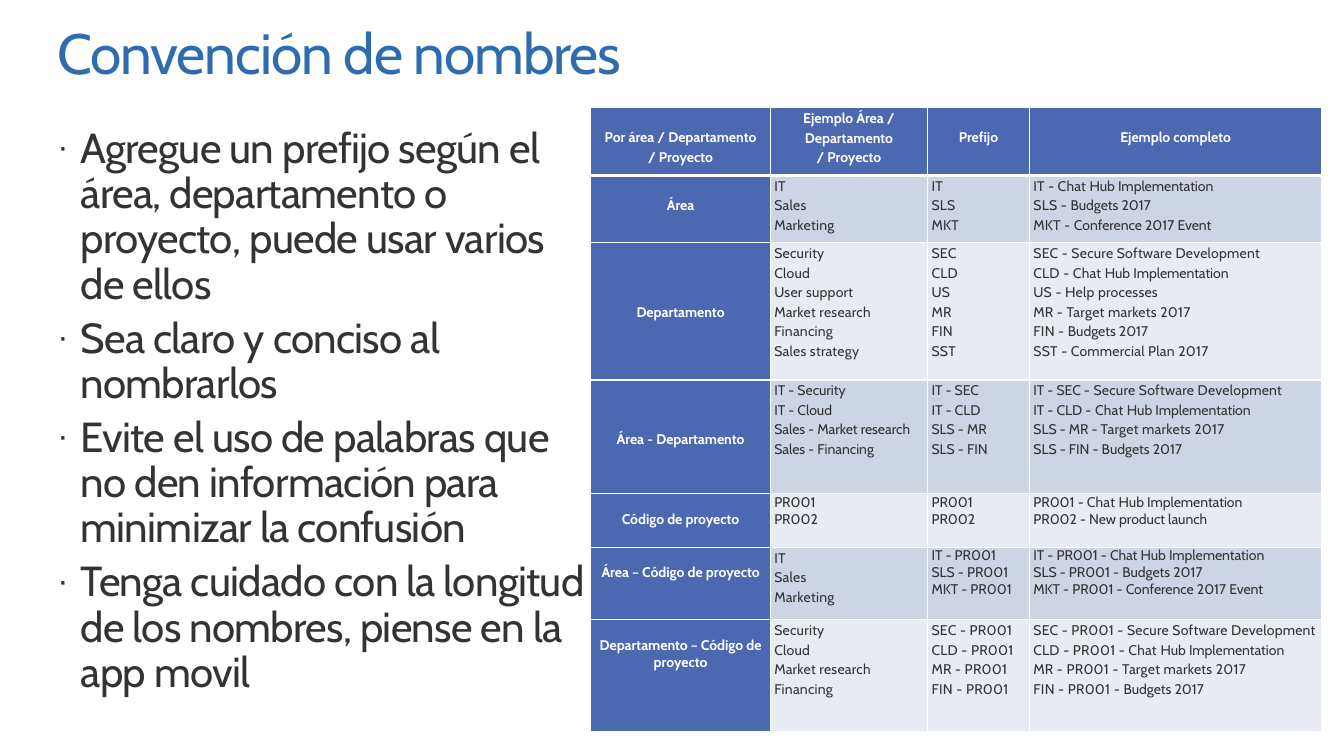
"""Build the naming convention slide with its guidelines and example table."""
import pptx
import pptx.dml.color
import pptx.enum.text
import pptx.oxml
import pptx.oxml.ns
import pptx.util

Inches = pptx.util.Inches
Align = pptx.enum.text.PP_ALIGN

COLORS = {
    "title": "2E6CAF",
    "text": "333333",
    "header": "4C68B1",
    "dark_band": "CDD4E3",
    "light_band": "E8EBF2",
    "white": "FFFFFF",
}
GUIDELINES = [
    "Agregue un prefijo según el área, departamento o proyecto, puede usar varios de ellos",
    "Sea claro y conciso al nombrarlos",
    "Evite el uso de palabras que no den información para minimizar la confusión",
    "Tenga cuidado con la longitud de los nombres, piense en la app movil",
]
COLUMN_WIDTHS = [1.78, 1.56, 1.01, 2.9]
ROW_HEIGHTS = [0.67, 0.67, 1.36, 1.13, 0.53, 0.72, 1.11]
LOOSE, TIGHT = 1.15, 1.0
TRACKING = 0.2
EVEN = (0, 0, 0, 0)
TRACKED = (0, TRACKING, TRACKING, TRACKING)
# Each row: top insets, line spacings, starting tracking, cell texts ("|" toggles tracking).
ROWS = [
    ((0.19, 0, 0.19, 0.19), (LOOSE,) * 4, EVEN, [
        "Por área / Departamento\n/ Proyecto",
        "Ejemplo Área / Departamento\n/ Proyecto",
        "Prefijo",
        "Ejemplo completo",
    ]),
    ((0.19, 0, 0, 0), (LOOSE,) * 4, TRACKED, [
        "Área",
        "IT\nSales\nMarketing",
        "IT\nSLS\nMKT",
        "IT |-| Chat |Hub Implementation\nSLS - |Budgets 2017\nMKT - |Conference 2017 Event",
    ]),
    ((0.58, 0, 0, 0), (LOOSE,) * 4, TRACKED, [
        "Departamento",
        "Security\nCloud\nUser support\nMarket research\nFinancing\nSales strategy",
        "SEC\nCLD\nUS\nMR\nFIN\nSST",
        "SEC - Secure Software Development\nCLD - Chat |Hub Implementation\n"
        "US - Help processes\nMR - Target markets 2017\nFIN - |Budgets 2017\n"
        "SST - Commercial Plan 2017",
    ]),
    ((0.51, 0, 0, 0), (TIGHT, LOOSE, LOOSE, LOOSE), EVEN, [
        "Área - Departamento",
        "IT - Security\nIT - Cloud\nSales - Market research\nSales - Financing",
        "IT - SEC\nIT - CLD\nSLS - MR\nSLS - FIN",
        "IT - SEC |- Secure Software Development\nIT - CLD |- Chat |Hub Implementation\n"
        "SLS - MR - |Target markets 2017\nSLS - FIN - Budgets 2017",
    ]),
    ((0.17, 0, 0, 0), (TIGHT,) * 4, EVEN, [
        "Código de proyecto",
        "PR001\nPR002",
        "PR001\nPR002",
        "PR001 - |Chat |Hub Implementation\nPR002 - New product launch",
    ]),
    ((0.17, 0, 0, 0), (TIGHT, LOOSE, TIGHT, TIGHT), (0, TRACKING, 0, 0), [
        "Área – Código de proyecto",
        "IT\nSales\nMarketing",
        "IT - PR001\nSLS - PR001\nMKT - PR001",
        "IT - PR001 - Chat Hub Implementation\nSLS - PR001 - Budgets 2017\n"
        "MKT - PR001 - Conference 2017 Event",
    ]),
    ((0.17, 0, 0, 0), (TIGHT, LOOSE, LOOSE, LOOSE), TRACKED, [
        "Departamento – Código de proyecto",
        "Security\nCloud\nMarket research\nFinancing",
        "SEC - PR001\nCLD - PR001\nMR - PR001\nFIN - PR001",
        "SEC - PR001 - Secure Software Development\nCLD - PR001 - Chat |Hub Implementation\n"
        "MR - PR001 - Target markets 2017\nFIN - PR001 - |Budgets 2017",
    ]),
]


class SlideBuilder:
    """Holds the text style and the current slide."""

    font_name = "Cabin"

    def __init__(self, presentation):
        self.slide = presentation.slides.add_slide(presentation.slide_layouts[1])

    def add_run(self, paragraph, text, size, color, bold=False, tracking=0):
        run = paragraph.add_run()
        run.text = text
        run.font.name = self.font_name
        run.font.size = pptx.util.Pt(size)
        run.font.bold = bold
        run.font.color.rgb = pptx.dml.color.RGBColor.from_string(COLORS[color])
        run.font._rPr.set("spc", str(round(tracking * 100)))

    def place(self, shape, left, top, width, height):
        shape.left, shape.top = Inches(left), Inches(top)
        shape.width, shape.height = Inches(width), Inches(height)
        frame = shape.text_frame
        frame.margin_left = frame.margin_right = frame.margin_top = frame.margin_bottom = 0
        frame.vertical_anchor = pptx.enum.text.MSO_ANCHOR.TOP
        frame.auto_size = pptx.enum.text.MSO_AUTO_SIZE.NONE
        frame.word_wrap = True
        return frame

    def add_paragraph(self, frame, index, spacing, align=Align.LEFT):
        paragraph = frame.add_paragraph() if index else frame.paragraphs[0]
        paragraph.alignment = align
        paragraph.line_spacing = spacing
        paragraph.space_before = pptx.util.Pt(0)
        return paragraph

    def add_title(self, text):
        frame = self.place(self.slide.shapes.title, 0.57, 0.25, 12.2, 0.82)
        paragraph = self.add_paragraph(frame, 0, 0.9)
        self.add_run(paragraph, text, 40.5, "title", tracking=-0.8)

    def add_list(self, items):
        frame = self.place(self.slide.placeholders[1], 0.57, 1.26, 5.23, 5.99)
        for index, item in enumerate(items):
            paragraph = self.add_paragraph(frame, index, 0.9)
            if index:
                paragraph.space_before = pptx.util.Pt(6)
            properties = paragraph._p.get_or_add_pPr()
            properties.set("marL", str(Inches(0.23)))
            properties.set("indent", str(Inches(-0.23)))
            for tag, name, value in (("buSzPct", "val", "80000"), ("buChar", "char", "·")):
                bullet = pptx.oxml.parse_xml(
                    f'<a:{tag} {pptx.oxml.ns.nsdecls("a")} {name}="{value}"/>')
                properties.append(bullet)
            self.add_run(paragraph, item, 30, "text", tracking=-0.5)

    def add_borders(self, cell, top, bottom):
        properties = cell._tc.get_or_add_tcPr()
        for side, points in (("L", 1), ("R", 1), ("T", top), ("B", bottom)):
            properties.append(pptx.oxml.parse_xml(
                f'<a:ln{side} {pptx.oxml.ns.nsdecls("a")} w="{pptx.util.Pt(points)}">'
                f'<a:solidFill><a:srgbClr val="{COLORS["white"]}"/></a:solidFill></a:ln{side}>'))

    def fill_cell(self, cell, text, fill, heading, inset, spacing, tracking):
        cell.margin_left = cell.margin_right = Inches(0.04)
        cell.margin_top, cell.margin_bottom = Inches(inset), 0
        cell.fill.solid()
        cell.fill.fore_color.rgb = pptx.dml.color.RGBColor.from_string(COLORS[fill])
        align = Align.CENTER if heading else Align.LEFT
        for index, line in enumerate(text.split("\n")):
            paragraph = self.add_paragraph(cell.text_frame, index, spacing, align)
            for position, part in enumerate(line.split("|")):
                part_tracking = TRACKING - tracking if position % 2 else tracking
                self.add_run(paragraph, part, 10, "white" if heading else "text",
                             heading, part_tracking)

    def add_table(self, rows):
        frame = self.slide.shapes.add_table(
            len(rows), len(COLUMN_WIDTHS), Inches(5.86), Inches(1.07),
            Inches(sum(COLUMN_WIDTHS)), Inches(sum(ROW_HEIGHTS)))
        table = frame.table
        table.horz_banding = False
        for column, width in zip(table.columns, COLUMN_WIDTHS):
            column.width = Inches(width)
        for row_index, (insets, spacings, trackings, texts) in enumerate(rows):
            table.rows[row_index].height = Inches(ROW_HEIGHTS[row_index])
            band = "dark_band" if row_index % 2 else "light_band"
            for column_index, text in enumerate(texts):
                heading = row_index == 0 or column_index == 0
                cell = table.cell(row_index, column_index)
                self.add_borders(cell, 3 if row_index == 1 else 1, 3 if row_index == 0 else 1)
                self.fill_cell(cell, text, "header" if heading else band, heading,
                               insets[column_index], spacings[column_index],
                               trackings[column_index])


def main():
    presentation = pptx.Presentation()
    presentation.slide_width, presentation.slide_height = Inches(13.33), Inches(7.5)
    builder = SlideBuilder(presentation)
    builder.add_title("Convención de nombres")
    builder.add_list(GUIDELINES)
    builder.add_table(ROWS)
    presentation.save("out.pptx")


if __name__ == "__main__":
    main()
